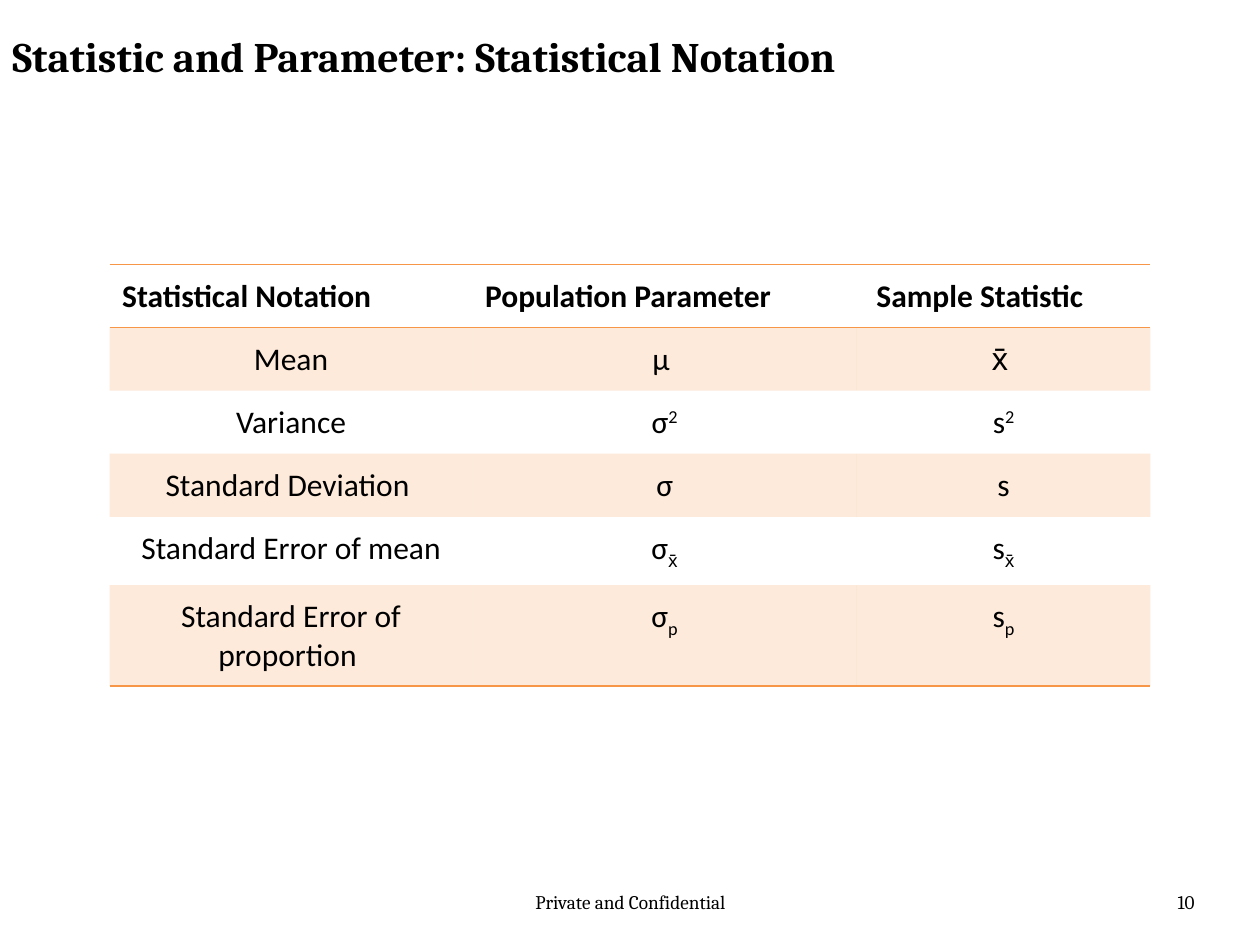
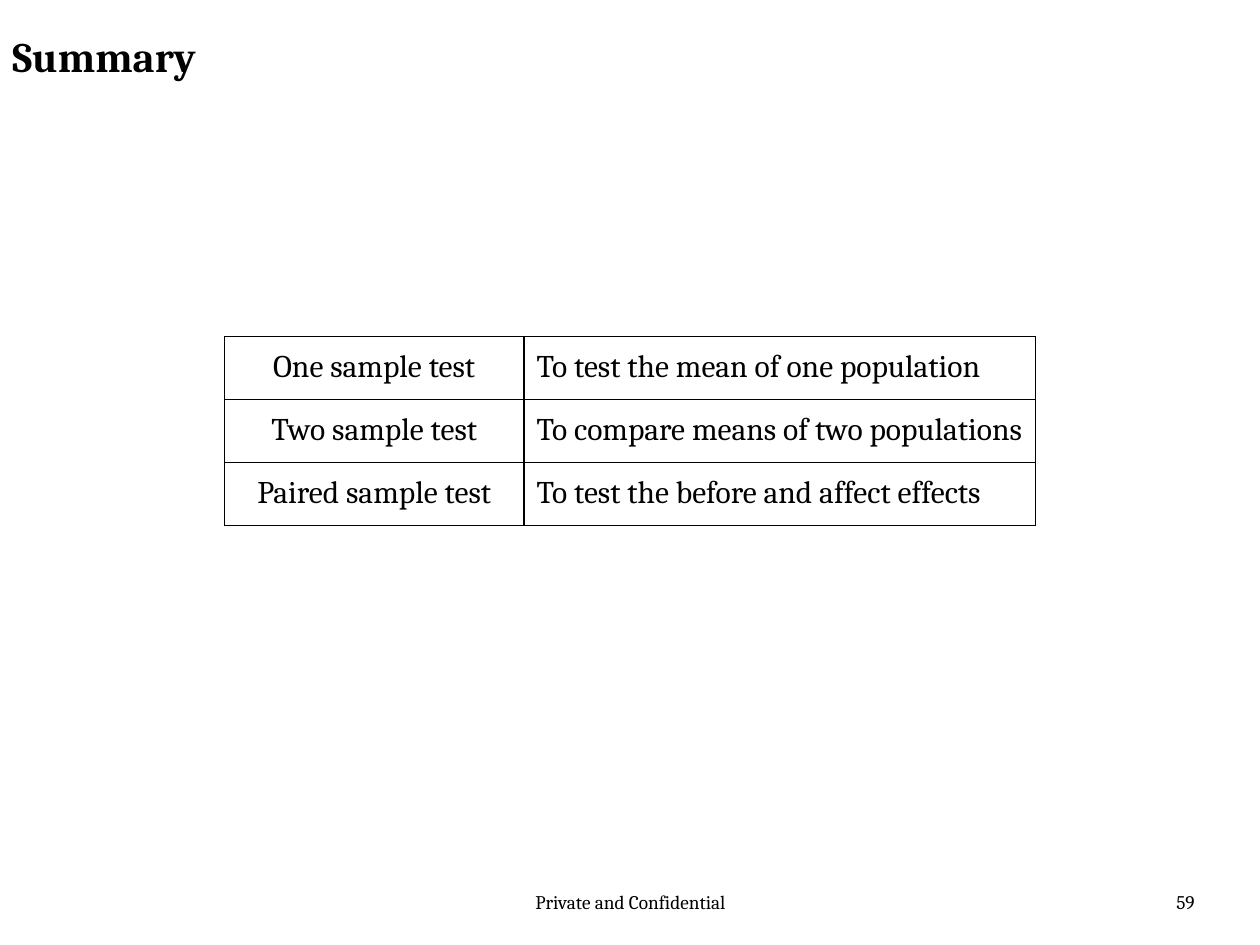
"""Builds two slides on statistical notation and sample tests."""
from dataclasses import dataclass
from typing import NamedTuple

from lxml.etree import SubElement as Sub
from pptx import Presentation
from pptx.dml.color import RGBColor as Rgb
from pptx.enum.text import MSO_ANCHOR as Anchor, PP_ALIGN as Align
from pptx.oxml.ns import qn
from pptx.util import Pt

SCALE = 9144
BLACK, ORANGE = "000000", "F79646"
SERIF, SANS = "Cambria", "Calibri"
LEFT, MID, RIGHT = Align.LEFT, Align.CENTER, Align.RIGHT
PAD, ROW, EDGE = 10, 42, 12700


class Box(NamedTuple):
    left: int
    top: int
    width: int
    height: int


class Cell(NamedTuple):
    text: str
    sup: str = ""
    sub: str = ""


@dataclass
class Grid:
    left: int
    top: int
    cols: list[int]
    rows: list[list[Cell]]
    face: str
    aligns: list
    ruled: bool = False


NOTES = Grid(
    87, 210, [288, 305, 233],
    [
        [Cell("Statistical Notation"), Cell("Population Parameter"), Cell(" Sample Statistic")],
        [Cell("Mean"), Cell("µ "), Cell("x̄ ")],
        [Cell("Variance"), Cell("σ", sup="2"), Cell("s", sup="2")],
        [Cell("Standard Deviation "), Cell("σ"), Cell("s")],
        [Cell("Standard Error of mean"), Cell("σ", sub="x̄"), Cell("s", sub="x̄")],
        [Cell("Standard Error of proportion "), Cell("σ", sub="p"), Cell("s", sub="p")],
    ],
    SANS, [MID, MID, MID],
)
TESTS = Grid(
    178, 267, [238, 406],
    [
        [Cell("One sample test"), Cell("To test the mean of one population")],
        [Cell("Two sample test"), Cell("To compare means of two populations")],
        [Cell("Paired sample test"), Cell("To test the before and affect effects")],
    ],
    SERIF, [MID, LEFT], ruled=True,
)


def px(size: int) -> int:
    """Turn px into EMU."""
    return size * SCALE


def tint(code: str) -> Rgb:
    """Turn a hex string into a colour."""
    return Rgb.from_string(code)


def write(frame, text: str, *, sup: str = "", sub: str = "", size: int = 18,
          face: str = SERIF, bold: bool = False, align=LEFT) -> None:
    """Write one paragraph with an optional raised or lowered ending."""
    line = frame.paragraphs[0]
    line.alignment = align
    for part, shift in ((text, 0), (sup, 30000), (sub, -25000)):
        if part:
            run = line.add_run()
            run.text = part
            font = run.font
            font.name, font.size, font.bold = face, Pt(size), bold
            font.color.rgb = tint(BLACK)
            if shift:
                run._r.get_or_add_rPr().set("baseline", str(shift))


def label(slide, box: Box, text: str, *, pad: int = 5, anchor=Anchor.TOP, **style) -> None:
    """Place a text box."""
    frame = slide.shapes.add_textbox(*map(px, box)).text_frame
    frame.word_wrap = True
    frame.vertical_anchor = anchor
    frame.margin_left = frame.margin_right = px(PAD)
    frame.margin_top = frame.margin_bottom = px(pad)
    write(frame, text, **style)


def rule(cell, edges: dict[str, str]) -> None:
    """Draw the named cell edges and clear the others."""
    props = cell._tc.get_or_add_tcPr()
    for side in "LRTB":
        line = Sub(props, qn(f"a:ln{side}"), w=str(EDGE))
        if side in edges:
            fill = Sub(line, qn("a:solidFill"))
            Sub(fill, qn("a:srgbClr"), val=edges[side])
        else:
            Sub(line, qn("a:noFill"))


def shade(cell, code: str, alpha: int) -> None:
    """Fill a cell with a see-through colour."""
    cell.fill.solid()
    cell.fill.fore_color.rgb = tint(code)
    color = cell._tc.tcPr.find(f"{qn('a:solidFill')}/{qn('a:srgbClr')}")
    Sub(color, qn("a:alpha"), val=str(alpha * 1000))


def edges(grid: Grid, row: int) -> dict[str, str]:
    """Pick the edge colours for a row."""
    if grid.ruled:
        return dict.fromkeys("LRTB", BLACK)
    sides = {0: "TB", 1: "T", len(grid.rows) - 1: "B"}.get(row, "")
    return dict.fromkeys(sides, ORANGE)


def draw(slide, grid: Grid) -> None:
    """Draw a table."""
    count = len(grid.rows)
    box = Box(grid.left, grid.top, sum(grid.cols), ROW * count)
    table = slide.shapes.add_table(count, len(grid.cols), *map(px, box)).table
    table.first_row = table.horz_banding = False
    for col, width in zip(table.columns, grid.cols):
        col.width = px(width)
    for r, row in enumerate(grid.rows):
        head = r == 0 and not grid.ruled
        for c, item in enumerate(row):
            cell = table.cell(r, c)
            cell.margin_left = cell.margin_right = px(PAD)
            cell.margin_top = cell.margin_bottom = px(PAD)
            rule(cell, edges(grid, r))
            if r % 2 and not grid.ruled:
                shade(cell, ORANGE, 20)
            else:
                cell.fill.background()
            write(cell.text_frame, item.text, sup=item.sup, sub=item.sub,
                  face=grid.face, bold=head, align=LEFT if head else grid.aligns[c])


def page(deck, title: str, number: int, grid: Grid) -> None:
    """Add a slide with title, footer and table."""
    slide = deck.slides.add_slide(deck.slide_layouts[6])
    label(slide, Box(342, 702, 317, 40), "Private and Confidential", size=11, align=MID)
    label(slide, Box(725, 702, 233, 40), str(number), size=11, align=RIGHT)
    label(slide, Box(0, 11, 808, 67), title, pad=PAD, anchor=Anchor.MIDDLE,
          size=24, bold=True)
    draw(slide, grid)


def main() -> None:
    """Build and save the deck."""
    deck = Presentation()
    deck.slide_width, deck.slide_height = px(1000), px(750)
    page(deck, "Statistic and Parameter: Statistical Notation", 10, NOTES)
    page(deck, "Summary", 59, TESTS)
    deck.save("out.pptx")


if __name__ == "__main__":
    main()
